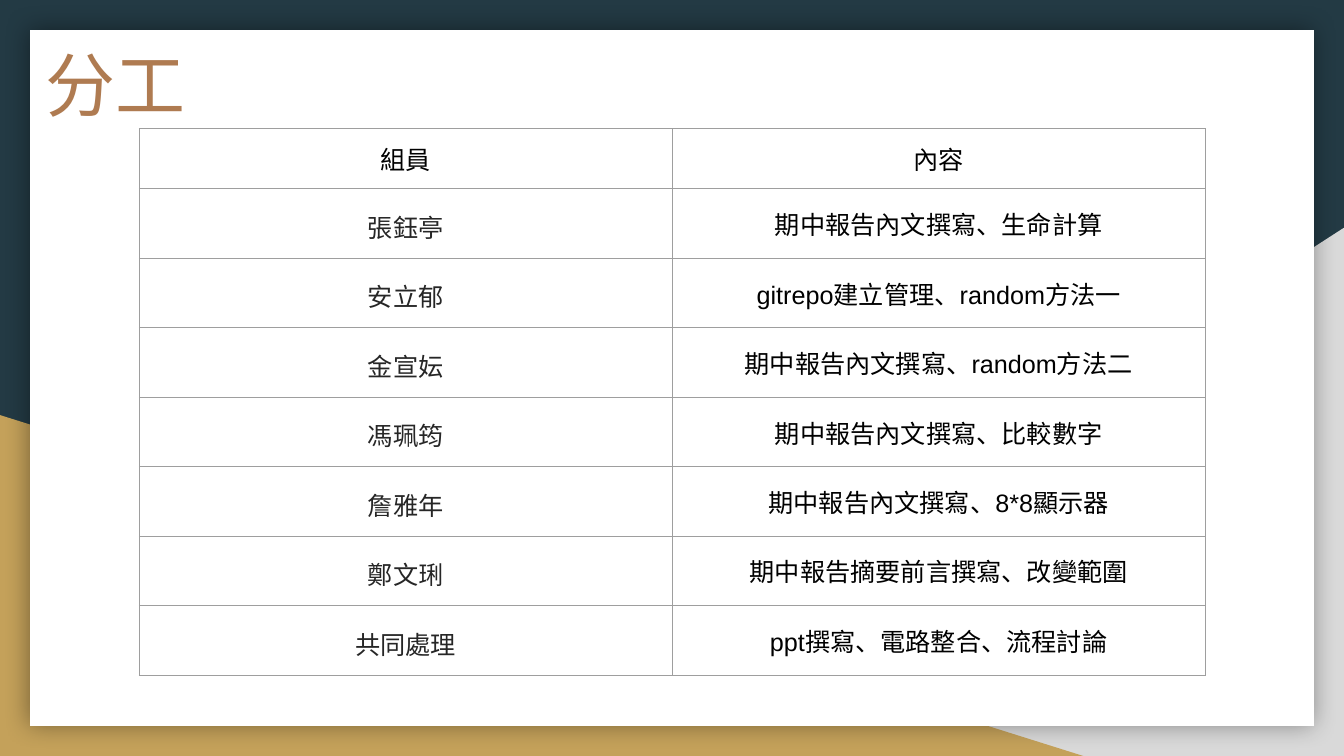
"""Build the slide that lists how the team divided its work."""
import dataclasses

import pptx
import pptx.dml.color
import pptx.enum.shapes
import pptx.enum.text
import pptx.oxml
import pptx.oxml.ns
import pptx.util

Cm = pptx.util.Cm
Pt = pptx.util.Pt
RGB = pptx.dml.color.RGBColor.from_string
SHAPE = pptx.enum.shapes.MSO_SHAPE
ALIGN = pptx.enum.text.PP_ALIGN
ANCHOR = pptx.enum.text.MSO_ANCHOR
NAMESPACE = pptx.oxml.ns.nsdecls("a")

DUTIES = [
    ("張鈺亭", "期中報告內文撰寫、生命計算"),
    ("安立郁", "gitrepo建立管理、random方法一"),
    ("金宣妘", "期中報告內文撰寫、random方法二"),
    ("馮珮筠", "期中報告內文撰寫、比較數字"),
    ("詹雅年", "期中報告內文撰寫、8*8顯示器"),
    ("鄭文琍", "期中報告摘要前言撰寫、改變範圍"),
    ("共同處理", "ppt撰寫、電路整合、流程討論"),
]


@dataclasses.dataclass(frozen=True)
class Theme:
    background: str = "233A44"
    gray: str = "D9D9D9"
    gold: str = "C4A15A"
    paper: str = "FFFFFF"
    title: str = "AF7B51"
    text: str = "000000"
    member: str = "262626"
    border: str = "9E9E9E"
    title_font: str = "TeX Gyre Adventor"
    body_font: str = "Arial"
    title_size: int = 50
    body_size: int = 18


class SlideBuilder:
    def __init__(self, deck, theme):
        self.theme = theme
        self.slide = deck.slides.add_slide(deck.slide_layouts[5])
        fill = self.slide.background.fill
        fill.solid()
        fill.fore_color.rgb = RGB(theme.background)

    def panel(self, kind, left, top, width, height, color, flipped=False, glow=False):
        shape = self.slide.shapes.add_shape(kind, Cm(left), Cm(top), Cm(width), Cm(height))
        shape.fill.solid()
        shape.fill.fore_color.rgb = RGB(color)
        shape.line.fill.background()
        shape.shadow.inherit = False
        properties = shape.element.spPr
        if flipped:
            properties.xfrm.set("flipH", "1")
        if glow:
            effects = properties.find(pptx.oxml.ns.qn("a:effectLst"))
            effects.append(pptx.oxml.parse_xml(
                f'<a:outerShdw {NAMESPACE} blurRad="{Pt(18)}" dist="0" dir="0" algn="ctr" '
                'rotWithShape="0"><a:srgbClr val="000000"><a:alpha val="40000"/>'
                '</a:srgbClr></a:outerShdw>'))

    def title(self, text, left, top, width, height):
        box = self.slide.shapes.title
        box.element.getparent().append(box.element)
        box.left, box.top, box.width, box.height = Cm(left), Cm(top), Cm(width), Cm(height)
        frame = box.text_frame
        frame.text = text
        frame.word_wrap = True
        frame.auto_size = pptx.enum.text.MSO_AUTO_SIZE.NONE
        frame.vertical_anchor = ANCHOR.TOP
        frame.margin_left = frame.margin_right = Cm(0.33)
        frame.margin_top = frame.margin_bottom = Cm(0.33)
        para = frame.paragraphs[0]
        para.alignment = ALIGN.LEFT
        self.style(para, self.theme.title_font, self.theme.title_size, self.theme.title)

    def style(self, para, font, size, color):
        para.font.name = font
        para.font.size = Pt(size)
        para.font.bold = False
        para.font.color.rgb = RGB(color)

    def table(self, rows, left, top, column_width, header_height, row_height):
        height = header_height + row_height * (len(rows) - 1)
        table = self.slide.shapes.add_table(
            len(rows), 2, Cm(left), Cm(top), Cm(2 * column_width), Cm(height)).table
        table.first_row = table.horz_banding = False
        for column in table.columns:
            column.width = Cm(column_width)
        for row_index, texts in enumerate(rows):
            table.rows[row_index].height = Cm(row_height if row_index else header_height)
            for column_index, text in enumerate(texts):
                is_member = row_index > 0 and column_index == 0
                self.cell(table.cell(row_index, column_index), text, is_member)

    def cell(self, cell, text, is_member):
        cell.text = text
        cell.vertical_anchor = ANCHOR.MIDDLE
        cell.margin_left = cell.margin_right = Cm(0.25)
        cell.margin_top = cell.margin_bottom = Cm(0.25)
        para = cell.text_frame.paragraphs[0]
        para.alignment = ALIGN.CENTER
        if is_member:
            para.line_spacing = 1.15
        color = self.theme.member if is_member else self.theme.text
        self.style(para, self.theme.body_font, self.theme.body_size, color)
        properties = cell._tc.get_or_add_tcPr()
        for side in ("lnL", "lnR", "lnT", "lnB"):
            properties.append(pptx.oxml.parse_xml(
                f'<a:{side} {NAMESPACE} w="{Pt(0.75)}"><a:solidFill>'
                f'<a:srgbClr val="{self.theme.border}"/></a:solidFill></a:{side}>'))
        cell.fill.background()


def main():
    deck = pptx.Presentation()
    deck.slide_width, deck.slide_height = Cm(33.87), Cm(19.05)
    theme = Theme()
    page = SlideBuilder(deck, theme)
    page.panel(SHAPE.RIGHT_TRIANGLE, 13.27, 5.74, 20.6, 13.31, theme.gray, flipped=True)
    page.panel(SHAPE.RIGHT_TRIANGLE, 0, 10.46, 27.3, 8.59, theme.gold)
    page.panel(SHAPE.RECTANGLE, 0.76, 0.76, 32.35, 17.53, theme.paper, glow=True)
    page.title("分工", 0.81, 0.71, 27.8, 3.53)
    page.table([("組員", "內容")] + DUTIES, 3.51, 3.24, 13.43, 1.52, 1.75)
    deck.save("out.pptx")


if __name__ == "__main__":
    main()
